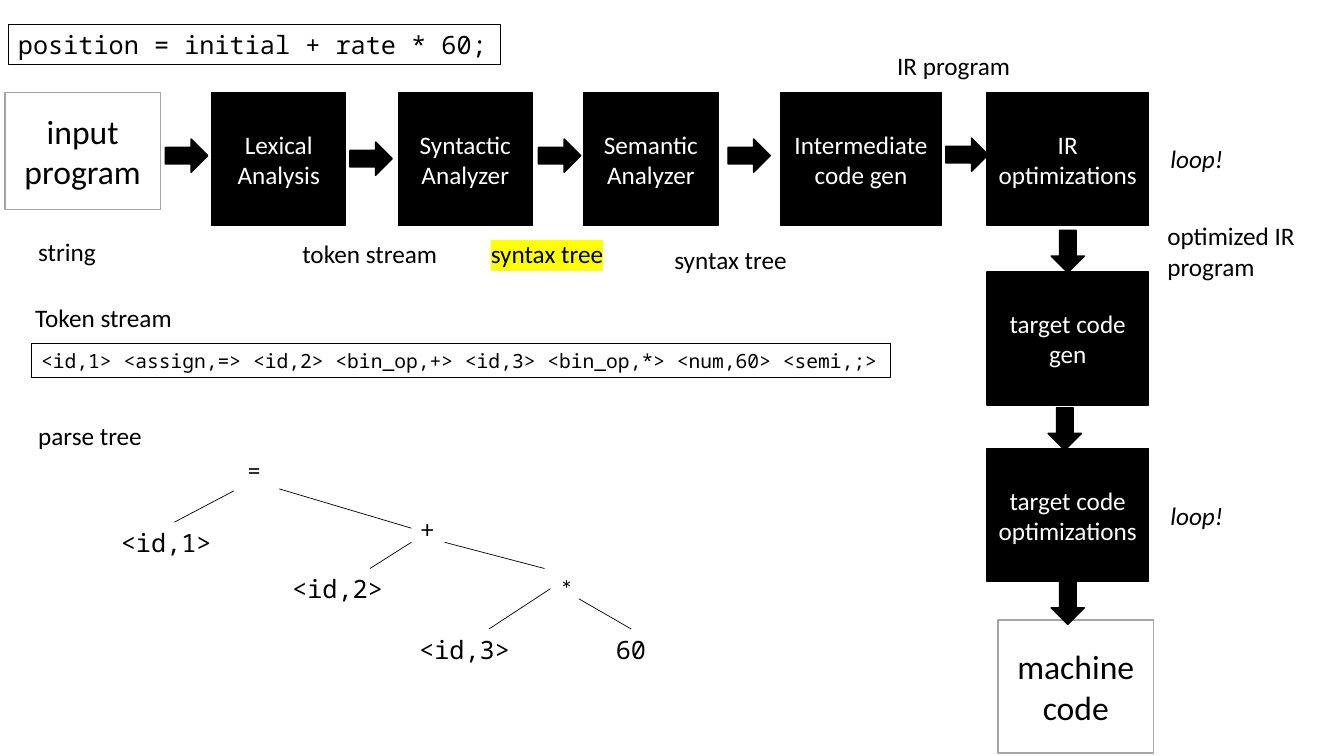
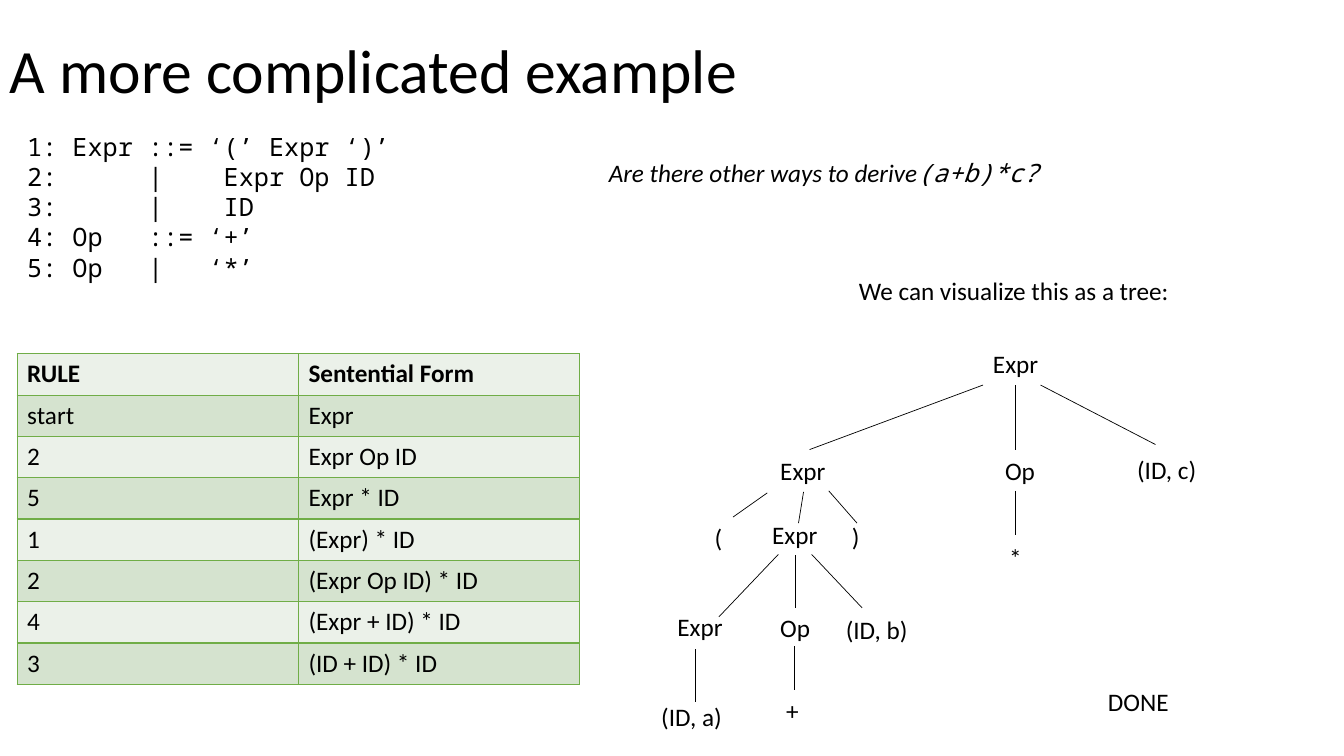
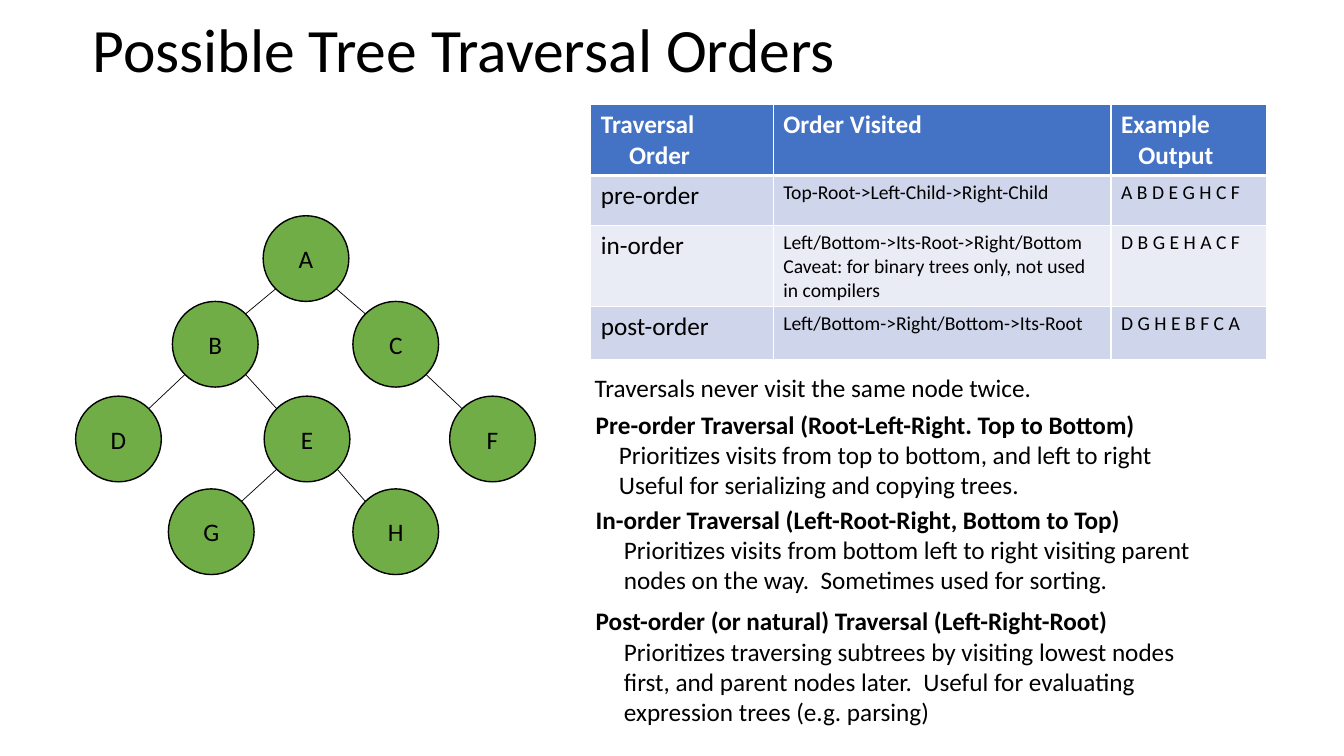
from dataclasses import dataclass

from lxml import etree
from pptx import Presentation
from pptx.dml.color import RGBColor
from pptx.enum.shapes import MSO_CONNECTOR, MSO_SHAPE
from pptx.enum.text import MSO_ANCHOR, MSO_AUTO_SIZE, PP_ALIGN
from pptx.oxml.ns import qn
from pptx.util import Inches, Pt

COLORS = {
    "ink": "000000", "paper": "FFFFFF", "grey": "A5A5A5", "marker": "FFFF00",
    "green": "70AD47", "green_light": "EBF1E9", "green_mid": "D5E3CF",
    "blue": "4472C4", "blue_mid": "CFD5EA", "blue_light": "E9EBF5",
}
BODY, MONO = "Calibri", "Noto Sans Mono"
LABEL_HEIGHT = 0.4


@dataclass
class Para:
    """A paragraph: runs of (text, style changes), with indent and tab stops."""
    runs: list
    indent: float = 0
    tabs: tuple = ()


def rgb(name):
    """Return a palette colour."""
    return RGBColor.from_string(COLORS[name])


def sub(parent, tag, **attributes):
    """Append an XML child and return it."""
    child = etree.SubElement(parent, qn(tag))
    for key, value in attributes.items():
        child.set(key, str(value))
    return child


def style_run(run, size=18, font=BODY, color="ink", bold=False, italic=False, highlight=None):
    """Set the character format of a run."""
    run.font.size, run.font.name = Pt(size), font
    run.font.bold, run.font.italic = bold, italic
    run.font.color.rgb = rgb(color)
    if highlight:
        mark = etree.Element(qn("a:highlight"))
        sub(mark, "a:srgbClr", val=COLORS[highlight])
        run.font._element.find(qn("a:latin")).addprevious(mark)


def write(frame, paras, align=PP_ALIGN.LEFT, line_spacing=None, **style):
    """Fill a text frame from a string or a list of strings and Paras."""
    for i, item in enumerate([paras] if isinstance(paras, str) else paras):
        para = item if isinstance(item, Para) else Para([(item, {})])
        p = frame.paragraphs[0] if i == 0 else frame.add_paragraph()
        p.alignment = align
        if line_spacing:
            p.line_spacing = line_spacing
        props = p._p.get_or_add_pPr()
        if para.indent:
            props.set("marL", str(Inches(para.indent)))
            props.set("indent", "0")
        if para.tabs:
            stops = sub(props, "a:tabLst")
            for stop in para.tabs:
                sub(stops, "a:tab", pos=Inches(stop), algn="l")
        for text, changes in para.runs:
            for n, line in enumerate(text.split("\v")):
                if n:
                    p.add_line_break()
                run = p.add_run()
                run.text = line
                style_run(run, **{**style, **changes})


def add_text(slide, left, top, width, paras, height=LABEL_HEIGHT, wrap=False,
             outline=False, **style):
    """Place a text box that grows with its text."""
    box = slide.shapes.add_textbox(Inches(left), Inches(top), Inches(width), Inches(height))
    box.text_frame.word_wrap = wrap
    box.text_frame.auto_size = MSO_AUTO_SIZE.SHAPE_TO_FIT_TEXT
    if outline:
        box.line.color.rgb, box.line.width = rgb("ink"), Pt(0.75)
    write(box.text_frame, paras, **style)


def add_title(slide, left, top, width, height, text):
    """Place the slide title, centred vertically in its box."""
    box = slide.shapes.add_textbox(Inches(left), Inches(top), Inches(width), Inches(height))
    box.text_frame.word_wrap = True
    box.text_frame.vertical_anchor = MSO_ANCHOR.MIDDLE
    write(box.text_frame, text, size=44, line_spacing=0.9)


def add_block(slide, kind, left, top, width, height, text="", fill="ink", line="ink", **style):
    """Place a filled preset shape with centred text."""
    shape = slide.shapes.add_shape(kind, Inches(left), Inches(top), Inches(width), Inches(height))
    shape.shadow.inherit = False
    shape.fill.solid()
    shape.fill.fore_color.rgb = rgb(fill)
    shape.line.color.rgb, shape.line.width = rgb(line), Pt(1)
    if text:
        shape.text_frame.word_wrap = True
        shape.text_frame.vertical_anchor = MSO_ANCHOR.MIDDLE
        write(shape.text_frame, text, align=PP_ALIGN.CENTER, **style)
    return shape


def add_edge(slide, x1, y1, x2, y2):
    """Draw a thin straight line."""
    edge = slide.shapes.add_connector(
        MSO_CONNECTOR.STRAIGHT, Inches(x1), Inches(y1), Inches(x2), Inches(y2))
    edge.line.color.rgb, edge.line.width = rgb("ink"), Pt(0.5)
    sub(edge._element.spPr, "a:effectLst")


def label_tree(slide, left, top, nodes, edges):
    """Draw a tree of text labels and lines, measured from its corner."""
    for text, x, y, width, font in nodes:
        add_text(slide, left + x, top + y, width, text, font=font)
    for x1, y1, x2, y2 in edges:
        add_edge(slide, left + x1, top + y1, left + x2, top + y2)


def style_cell(cell, paras, fill, border, bottom=1, **style):
    """Set the text, fill and borders of a table cell."""
    write(cell.text_frame, paras, **style)
    cell.fill.solid()
    cell.fill.fore_color.rgb = rgb(fill)
    props = cell._tc.get_or_add_tcPr()
    for i, side in enumerate("LRTB"):
        line = sub(props, f"a:ln{side}", w=Pt(bottom if side == "B" else 1))
        sub(sub(line, "a:solidFill"), "a:srgbClr", val=COLORS[border])
        props.insert(i, line)


def add_grid(slide, left, top, widths, heights):
    """Place an unstyled table and return it."""
    table = slide.shapes.add_table(
        len(heights), len(widths), Inches(left), Inches(top),
        Inches(sum(widths)), Inches(sum(heights))).table
    table.first_row = table.horz_banding = False
    for column, width in zip(table.columns, widths):
        column.width = Inches(width)
    for row, height in zip(table.rows, heights):
        row.height = Inches(height)
    return table


def compiler_pipeline(slide, left, top):
    """Draw the compiler stages, their arrows and what passes between them."""
    height, narrow, wide, column = 1.32, 1.33, 1.6, 9.74
    stages = [
        (2.05, 0, narrow, "Lexical Analysis"), (3.9, 0, narrow, "Syntactic Analyzer"),
        (5.74, 0, narrow, "Semantic Analyzer"), (7.69, 0, wide, "Intermediate code gen"),
        (column, 0, wide, "IR optimizations"), (column, 1.78, wide, "target code gen"),
        (column, 3.53, wide, "target code optimizations"),
    ]
    for x, y, width, text in stages:
        add_block(slide, MSO_SHAPE.RECTANGLE, left + x, top + y, width, height, text,
                  color="paper")
    for x, y, h, text in [(0, 0, 1.16, "input program"), (9.85, 5.23, height, "machine code")]:
        add_block(slide, MSO_SHAPE.RECTANGLE, left + x, top + y, 1.54, h, text,
                  fill="paper", line="grey", size=24)
    arrows = [(1.59, 0.46, 0), (3.42, 0.49, 0), (5.29, 0.46, 0), (7.17, 0.46, 0),
              (9.33, 0.45, 0), (10.33, 1.41, 90), (10.3, 3.17, 90), (10.33, 4.9, 90)]
    for x, y, turn in arrows:
        arrow = add_block(slide, MSO_SHAPE.RIGHT_ARROW, left + x, top + y, 0.42, 0.33)
        arrow.rotation = turn
    labels = [
        (0.23, 1.38, 0.78, "string", {}), (2.85, 1.4, 1.55, "token stream", {}),
        (4.72, 1.4, 1.33, "syntax tree", {"highlight": "marker"}),
        (6.54, 1.45, 1.33, "syntax tree", {}), (8.75, -0.47, 1.33, "IR program", {}),
        (11.43, 1.22, 1.54, "optimized IR\vprogram", {"height": 0.71}),
        (11.46, 0.45, 0.74, "loop!", {"italic": True}),
        (11.46, 3.99, 0.74, "loop!", {"italic": True}),
    ]
    for x, y, width, text, style in labels:
        add_text(slide, left + x, top + y, width, text, **style)


def token_stream(slide, left, top):
    """Show the token list under its caption."""
    add_text(slide, left, top, 1.57, "Token stream")
    add_text(slide, left + 0.06, top + 0.46, 8.52,
             "<id,1> <assign,=> <id,2> <bin_op,+> <id,3> <bin_op,*> <num,60> <semi,;>",
             height=0.34, wrap=True, outline=True, size=14, font=MONO)


def parse_tree(slide, left, top):
    """Draw the parse tree of the assignment under its caption."""
    nodes = [
        ("parse tree", 0, 0, 1.24, BODY),
        ("=", 2.08, 0.34, 0.33, BODY), ("<id,1>", 0.82, 1.06, 1.1, MONO),
        ("+", 3.8, 0.92, 0.33, BODY), ("<id,2>", 2.52, 1.52, 1.1, MONO),
        ("*", 5.18, 1.52, 0.33, BODY), ("<id,3>", 3.78, 2.12, 1.1, MONO),
        ("60", 5.73, 2.12, 0.5, MONO),
    ]
    edges = [(2.04, 0.75, 1.45, 1.06), (2.49, 0.73, 3.8, 1.12), (3.8, 1.26, 3.39, 1.52),
             (4.13, 1.26, 5.12, 1.52), (5.18, 1.72, 4.57, 2.12), (5.46, 1.82, 5.98, 2.12)]
    label_tree(slide, left, top, nodes, edges)


def grammar(slide, left, top):
    """List the numbered grammar rules in tabbed columns."""
    rules = ["1:\tExpr\t::=\t‘(’ Expr ‘)’", "2:\t\t|\t\tExpr Op ID", "3:\t\t|\t\tID",
             "4:\tOp\t::=\t‘+’", "5:\tOp\t|\t‘*’"]
    tabs = (0.45, 1.2, 1.8, 1.95)
    add_text(slide, left, top, 4, [Para([(rule, {})], tabs=tabs) for rule in rules],
             height=1.62, wrap=True, font=MONO)


def derivation_table(slide, left, top):
    """Show the derivation, one rule a row."""
    rows = [("RULE", "Sentential Form"), ("start", "Expr"), ("2", "Expr Op ID"),
            ("5", "Expr * ID"), ("1", "(Expr) * ID"), ("2", "(Expr Op ID) * ID"),
            ("4", "(Expr + ID) * ID"), ("3", "(ID + ID) * ID")]
    table = add_grid(slide, left, top, [2.79] * 2, [0.41] * len(rows))
    for r, row in enumerate(rows):
        for c, text in enumerate(row):
            style_cell(table.cell(r, c), text, "green_mid" if r % 2 else "green_light",
                       "green", bold=r == 0)


def derivation_tree(slide, left, top):
    """Draw the derivation as a tree under its caption."""
    nodes = [(text, x, y, width, BODY) for text, x, y, width in [
        ("We can visualize this as a tree:", 1.96, 0, 3.31),
        ("Expr", 3.29, 0.73, 0.65), ("Expr", 1.18, 1.79, 0.65), ("Op", 3.41, 1.79, 0.5),
        ("(ID, c)", 4.72, 1.78, 0.8), ("*", 3.45, 2.65, 0.33), ("(", 0.53, 2.45, 0.28),
        ("Expr", 1.1, 2.42, 0.65), (")", 1.89, 2.44, 0.28), ("Expr", 0.16, 3.34, 0.65),
        ("Op", 1.18, 3.35, 0.5), ("(ID, b)", 1.83, 3.37, 0.82), ("(ID, a)", 0, 4.23, 0.81),
        ("+", 1.24, 4.17, 0.33)]]
    edges = [
        (3.29, 1.14, 1.57, 1.78), (3.61, 1.14, 3.61, 1.78), (3.86, 1.14, 5, 1.73),
        (3.61, 2.19, 3.61, 2.63), (1.15, 2.21, 0.81, 2.45), (1.51, 2.2, 1.46, 2.51),
        (1.76, 2.19, 2.04, 2.51), (1.26, 2.82, 0.67, 3.44), (1.43, 2.83, 1.43, 3.35),
        (1.59, 2.82, 2.09, 3.35), (0.44, 3.76, 0.44, 4.28), (1.42, 3.73, 1.42, 4.17)]
    label_tree(slide, left, top, nodes, edges)


def circle_tree(slide, left, top):
    """Draw the lettered binary tree, joining circles at their diagonals."""
    size = 0.85
    reach = size / 2 * 0.5 ** 0.5
    corners = {"A": (1.86, 0), "B": (0.96, 0.85), "C": (2.75, 0.85), "D": (0, 1.79),
               "E": (1.87, 1.79), "F": (3.71, 1.79), "G": (0.92, 2.71), "H": (2.75, 2.71)}
    centers = {name: (left + x + size / 2, top + y + size / 2)
               for name, (x, y) in corners.items()}
    for name, (x, y) in corners.items():
        add_block(slide, MSO_SHAPE.OVAL, left + x, top + y, size, size, name, fill="green")
    for parent, child in ("AB", "AC", "BD", "BE", "CF", "EG", "EH"):
        (px, py), (cx, cy) = centers[parent], centers[child]
        shift = reach if cx > px else -reach
        add_edge(slide, px + shift, py + reach, cx - shift, cy - reach)


def traversal_table(slide, left, top):
    """Compare the three traversal orders."""
    head = [["Traversal", Para([("Order", {})], indent=0.28)], "Order Visited",
            ["Example", Para([("Output", {})], indent=0.17)]]
    body = [
        ("pre-order", "Top-Root->Left-Child->Right-Child", "A B D E G H C F"),
        ("in-order", ["Left/Bottom->Its-Root->Right/Bottom",
                      "Caveat: for binary trees only, not used in compilers"],
         "D B G E H A C F"),
        ("post-order", "Left/Bottom->Right/Bottom->Its-Root", "D G H E B F C A"),
    ]
    table = add_grid(slide, left, top, [1.81, 3.35, 1.54], [0.67, 0.5, 0.53, 0.53])
    for c, paras in enumerate(head):
        style_cell(table.cell(0, c), paras, "blue", "paper", bottom=3, color="paper", bold=True)
    for r, row in enumerate(body, 1):
        for c, paras in enumerate(row):
            style_cell(table.cell(r, c), paras, "blue_mid" if r % 2 else "blue_light",
                       "paper", size=14 if c else 18)


def traversal_notes(slide, left, top):
    """Explain each traversal under a bold heading."""
    add_text(slide, left + 0.21, top, 5.31, "Traversals never visit the same node twice.",
             wrap=True)
    notes = [
        (0.37, 7.25, 1.01, 0.45, "Pre-order Traversal (Root-Left-Right. Top to Bottom)",
         ["Prioritizes visits from top to bottom, and left to right",
          "Useful for serializing and copying trees."]),
        (1.31, 6.62, 1.01, 0.5, "In-order Traversal (Left-Root-Right, Bottom to Top)",
         ["Prioritizes visits from bottom left to right visiting parent nodes on the way. "
          " Sometimes used for sorting."]),
        (2.32, 6.22, 1.31, 0.5, "Post-order (or natural) Traversal (Left-Right-Root)",
         ["Prioritizes traversing subtrees by visiting lowest nodes first, and parent nodes "
          "later.  Useful for evaluating expression trees (e.g. parsing)"]),
    ]
    for y, width, height, indent, heading, lines in notes:
        paras = [Para([(heading, {"bold": True})], indent=0.22)]
        paras += [Para([(line, {})], indent=indent) for line in lines]
        add_text(slide, left, top + y, width, paras, height=height, wrap=True)


def compiler_slide(slide):
    """Build the slide on compiler stages."""
    compiler_pipeline(slide, 0.05, 0.92)
    token_stream(slide, 0.25, 2.95)
    parse_tree(slide, 0.28, 4.12)
    add_text(slide, 0.08, 0.24, 4.88, "position = initial + rate * 60;", outline=True, font=MONO)


def derivation_slide(slide):
    """Build the slide on deriving an expression."""
    add_title(slide, 0, 0, 11.5, 1.45, "A more complicated example")
    grammar(slide, 0.17, 1.25)
    derivation_table(slide, 0.17, 3.51)
    question = Para([("Are there other ways to derive", {}), ("(a+b)*c?", {"font": MONO})])
    add_text(slide, 5.94, 1.51, 4.53, [question], italic=True)
    derivation_tree(slide, 6.46, 2.68)
    add_text(slide, 10.89, 6.76, 0.99, "DONE", wrap=True)


def traversal_slide(slide):
    """Build the slide on tree traversal."""
    add_title(slide, 0.82, 0.02, 11.5, 1.01, "Possible Tree Traversal Orders")
    circle_tree(slide, 0.75, 2.14)
    traversal_table(slide, 5.86, 1.04)
    traversal_notes(slide, 5.59, 3.64)


deck = Presentation()
deck.slide_width, deck.slide_height = Inches(13.33), Inches(7.5)
for build in (compiler_slide, derivation_slide, traversal_slide):
    build(deck.slides.add_slide(deck.slide_layouts[6]))
deck.save("out.pptx")
